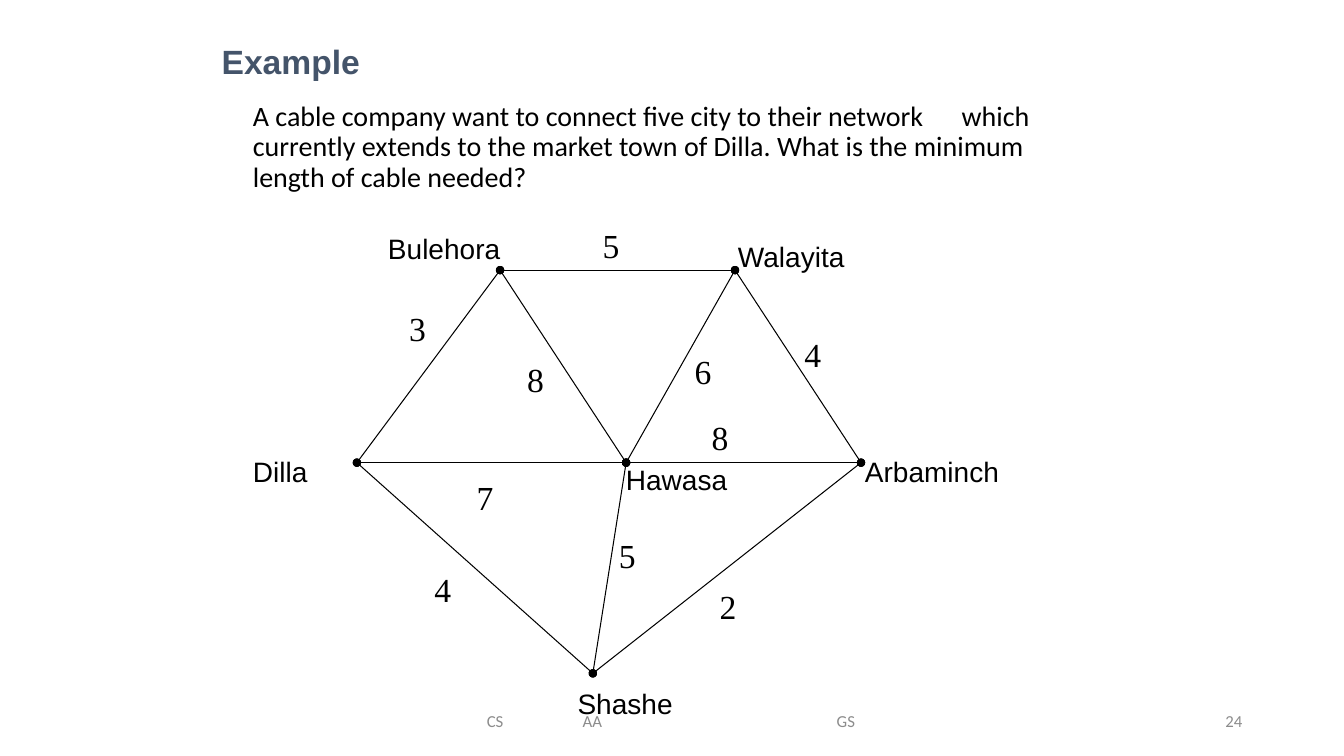
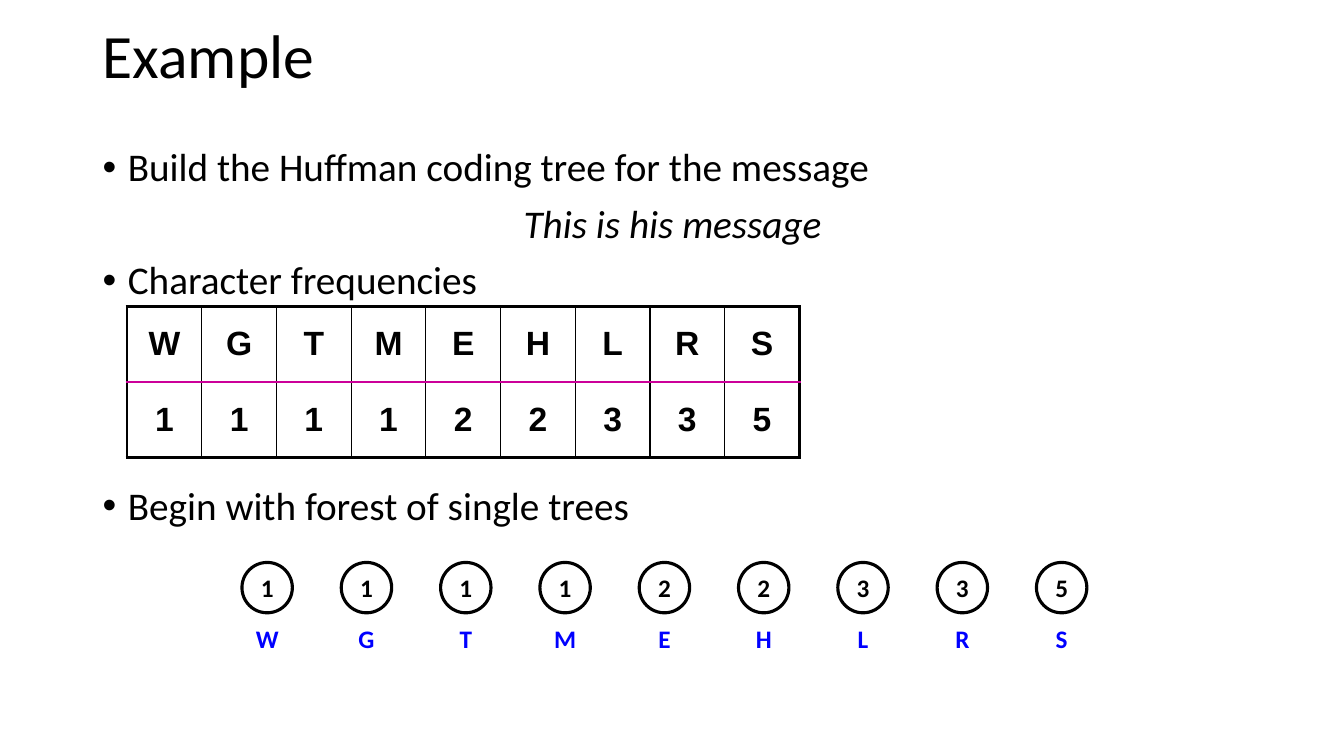
import pptx
import pptx.util
import pptx.dml.color
import pptx.enum.shapes
import pptx.enum.text
import pptx.oxml
import pptx.oxml.ns

Inches, Pt = pptx.util.Inches, pptx.util.Pt
Align = pptx.enum.text.PP_ALIGN
Anchor = pptx.enum.text.MSO_ANCHOR
Shape = pptx.enum.shapes.MSO_SHAPE
RGB = pptx.dml.color.RGBColor.from_string
Sub = pptx.oxml.ns.qn
NS = pptx.oxml.ns.nsdecls("a")

HUE = {"ink": "000000", "head": "44546A", "foot": "8C8C8C",
       "rule": "CC0099", "mark": "0000FF"}


def write(para, words, size, font="Calibri", hue="ink", bold=False,
          align=Align.LEFT, tabs=()):
    """Add one run to para; tabs are tab stops in inches."""
    para.alignment = align
    run = para.add_run()
    run.text = words
    run.font.size = Pt(size)
    run.font.name = font
    run.font.bold = bold
    run.font.color.rgb = RGB(HUE[hue])
    if tabs:
        stops = "".join(f'<a:tab pos="{Inches(stop)}" algn="l"/>' for stop in tabs)
        para._p.get_or_add_pPr().append(
            pptx.oxml.parse_xml(f"<a:tabLst {NS}>{stops}</a:tabLst>"))
    return run


def box(slide, left, top, width, height, anchor=Anchor.TOP):
    """Add a wrapping text box and return its first paragraph."""
    frame = slide.shapes.add_textbox(
        Inches(left), Inches(top), Inches(width), Inches(height)).text_frame
    frame.word_wrap = True
    frame.vertical_anchor = anchor
    return frame.paragraphs[0]


deck = pptx.Presentation()
deck.slide_width, deck.slide_height = Inches(13.33), Inches(7.5)
blank = deck.slide_layouts[6]

# Slide 1: cable network
slide = deck.slides.add_slide(blank)
para = box(slide, 2.41, 0.84, 8.5, 1.25, Anchor.MIDDLE)
para.line_spacing = 0.9
write(para, "A cable company want to connect five city to their network\twhich "
      "currently extends to the market town of Dilla. What is the minimum "
      "length of cable needed?", 20, tabs=[7.03])

# Town: node x, y, then label left, top, width
towns = {
    "Dilla": (3.54, 4.59, 2.41, 4.46, 1.34),
    "Hawasa": (6.21, 4.59, 6.11, 4.54, 1.26),
    "Bulehora": (4.96, 2.68, 3.75, 2.25, 1.37),
    "Walayita": (7.29, 2.68, 7.22, 2.33, 1.42),
    "Arbaminch": (8.54, 4.59, 8.48, 4.46, 1.67),
    "Shashe": (5.88, 6.68, 5.63, 6.76, 1.17),
}
# Road: two towns, length, then left and top of the length label
roads = [
    ("Dilla", "Bulehora", 3, 3.96, 3.01),
    ("Bulehora", "Walayita", 5, 5.88, 2.18),
    ("Walayita", "Arbaminch", 4, 7.88, 3.26),
    ("Dilla", "Hawasa", 7, 4.63, 4.68),
    ("Hawasa", "Arbaminch", 8, 6.96, 4.09),
    ("Bulehora", "Hawasa", 8, 5.13, 3.51),
    ("Hawasa", "Walayita", 6, 6.79, 3.43),
    ("Dilla", "Shashe", 4, 4.21, 5.59),
    ("Shashe", "Hawasa", 5, 6.04, 5.26),
    ("Shashe", "Arbaminch", 2, 7.04, 5.76),
]
for start, end, length, left, top in roads:
    ends = [Inches(pos) for town in (start, end) for pos in towns[town][:2]]
    road = slide.shapes.add_connector(
        pptx.enum.shapes.MSO_CONNECTOR.STRAIGHT, *ends)
    road.line.color.rgb = RGB(HUE["ink"])
    road.line.width = Pt(0.75)
    props = road.element.spPr
    for tip in ("headEnd", "tailEnd"):
        props.find(Sub("a:ln")).append(
            pptx.oxml.parse_xml(f'<a:{tip} {NS} type="oval"/>'))
    props.append(pptx.oxml.parse_xml(f"<a:effectLst {NS}/>"))
    write(box(slide, left, top, 0.5, 0.5), str(length), 24, "Times New Roman")
for town, (_, _, left, top, width) in towns.items():
    write(box(slide, left, top, width, 0.44), town, 20, "Arial")

write(box(slide, 2.1, 0.36, 2, 0.5), "Example", 24, "Arial", "head", True)
write(box(slide, 4.73, 6.95, 4.19, 0.4, Anchor.MIDDLE), "CS\tAA\tGS", 12,
      hue="foot", tabs=[0.95, 3.47])
write(box(slide, 9.42, 6.95, 3, 0.4, Anchor.MIDDLE), "24", 12,
      hue="foot", align=Align.RIGHT)

# Slide 2: Huffman coding
slide = deck.slides.add_slide(blank)
para = box(slide, 0.92, 0, 11.5, 1.16, Anchor.MIDDLE)
para.line_spacing = 0.9
write(para, "Example", 44)

# Line: words, space before, whether it is the centred message
lines = [
    ("Build the Huffman coding tree for the message", 10, False),
    ("This is his message", 10, True),
    ("Character frequencies", 10, False),
    ("Begin with forest of single trees", 131, False),
]
first = box(slide, 0.92, 1.42, 11.5, 5.34)
frame = first._parent
for row, (words, gap, quote) in enumerate(lines):
    para = frame.add_paragraph() if row else first
    para.line_spacing = 0.9
    para.space_before = Pt(gap)
    run = write(para, words, 28, align=Align.CENTER if quote else Align.LEFT)
    run.font.italic = quote
    props = para._p.get_or_add_pPr()
    props.set("marL", str(Inches(0.25)))
    props.set("indent", str(Inches(-0.25)))
    if not quote:
        props.append(pptx.oxml.parse_xml(f'<a:buFont {NS} typeface="Arial"/>'))
        props.append(pptx.oxml.parse_xml(f'<a:buChar {NS} char="•"/>'))

signs, counts = "WGTMEHLRS", "111122335"
last = len(signs) - 1
table = slide.shapes.add_table(
    2, len(signs), Inches(1.26), Inches(3.04), Inches(6.67), Inches(1.5)).table
table.first_row = table.horz_banding = False
for row, marks in enumerate((signs, counts)):
    for col, mark in enumerate(marks):
        cell = table.cell(row, col)
        edges = {
            "L": ("ink", 1 if col else 2.25),
            "R": ("ink", 1 if col < last else 2.25),
            "T": ("rule" if row else "ink", 2.25),
            "B": ("ink" if row else "rule", 2.25),
        }
        props = cell._tc.get_or_add_tcPr()
        for side, (hue, width) in edges.items():
            props.append(pptx.oxml.parse_xml(
                f'<a:ln{side} {NS} w="{Pt(width)}"><a:solidFill>'
                f'<a:srgbClr val="{HUE[hue]}"/></a:solidFill></a:ln{side}>'))
        cell.fill.background()
        cell.vertical_anchor = Anchor.MIDDLE
        write(cell.text_frame.paragraphs[0], mark, 24, "Arial",
              bold=True, align=Align.CENTER)

start, end = 2.4, 10.28
for col, (sign, count) in enumerate(zip(signs, counts)):
    left = start + col * (end - start) / last
    tree = slide.shapes.add_shape(
        Shape.FLOWCHART_CONNECTOR,
        Inches(left), Inches(5.58), Inches(0.5), Inches(0.5))
    tree.shadow.inherit = False
    tree.fill.background()
    tree.line.color.rgb = RGB(HUE["ink"])
    tree.line.width = Pt(2.25)
    tree.text_frame.word_wrap = False
    tree.text_frame.vertical_anchor = Anchor.MIDDLE
    write(tree.text_frame.paragraphs[0], count, 18,
          bold=True, align=Align.CENTER)
    write(box(slide, left, 6.13, 0.5, 0.4), sign, 18, hue="mark",
          bold=True, align=Align.CENTER)

deck.save("out.pptx")
